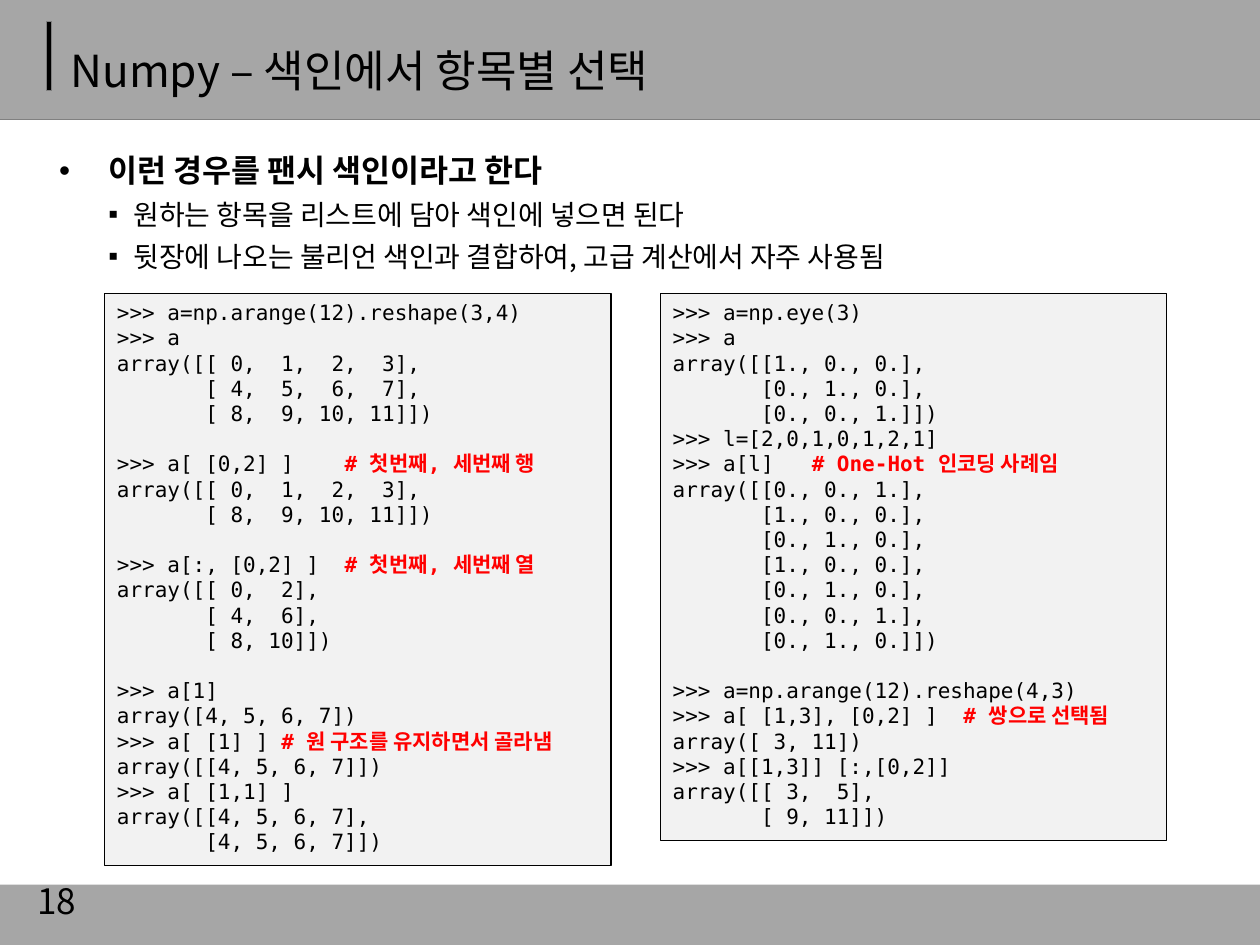
from dataclasses import dataclass
from lxml import etree
from pptx import Presentation
from pptx import util as u
from pptx.dml.color import RGBColor
from pptx.enum import shapes, text
from pptx.oxml.ns import qn

COLUMNS, ROWS = 100, 75  # slide grid


@dataclass(frozen=True)
class Theme:
    ink: str = "000000"
    band: str = "A6A6A6"
    rule: str = "808080"
    panel: str = "F2F2F2"
    remark: str = "FF0000"
    sans: str = "Noto Sans CJK KR"
    mono: str = "DejaVu Sans Mono"
    title: float = 25.2
    topic: float = 18
    detail: float = 16
    code: float = 12
    number: float = 20
    hairline: float = 0.75


@dataclass(frozen=True)
class Box:
    """A region in grid columns and rows."""
    left: float
    top: float
    width: float
    height: float

    def inside(self, left, top, width, height):
        return Box(self.left + left, self.top + top, width, height)

    def emu(self):
        return [u.Inches(cells / 10) for cells in
                (self.left, self.top, self.width, self.height)]


THEME = Theme()

TOPIC = "이런 경우를 팬시 색인이라고 한다"
DETAILS = ["원하는 항목을 리스트에 담아 색인에 넣으면 된다",
           "뒷장에 나오는 불리언 색인과 결합하여, 고급 계산에서 자주 사용됨"]

SELECTION_CODE = """\
>>> a=np.arange(12).reshape(3,4)
>>> a
array([[ 0,  1,  2,  3],
       [ 4,  5,  6,  7],
       [ 8,  9, 10, 11]])

>>> a[ [0,2] ]    # 첫번째, 세번째 행
array([[ 0,  1,  2,  3],
       [ 8,  9, 10, 11]])

>>> a[:, [0,2] ]  # 첫번째, 세번째 열
array([[ 0,  2],
       [ 4,  6],
       [ 8, 10]])

>>> a[1]
array([4, 5, 6, 7])
>>> a[ [1] ] # 원 구조를 유지하면서 골라냄
array([[4, 5, 6, 7]])
>>> a[ [1,1] ]
array([[4, 5, 6, 7],
       [4, 5, 6, 7]])"""

ONE_HOT_CODE = """\
>>> a=np.eye(3)
>>> a
array([[1., 0., 0.],
       [0., 1., 0.],
       [0., 0., 1.]])
>>> l=[2,0,1,0,1,2,1]
>>> a[l]   # One-Hot 인코딩 사례임
array([[0., 0., 1.],
       [1., 0., 0.],
       [0., 1., 0.],
       [1., 0., 0.],
       [0., 1., 0.],
       [0., 0., 1.],
       [0., 1., 0.]])

>>> a=np.arange(12).reshape(4,3)
>>> a[ [1,3], [0,2] ]  # 쌍으로 선택됨
array([ 3, 11])
>>> a[[1,3]] [:,[0,2]]
array([[ 3,  5],
       [ 9, 11]])"""


def style(run, size, face=THEME.sans, color=THEME.ink, bold=False):
    run.font.size, run.font.name, run.font.bold = u.Pt(size), face, bold
    run.font.color.rgb = RGBColor.from_string(color)
    etree.SubElement(run.font._element, qn("a:ea"), typeface=THEME.sans)


def place(shape, box):
    shape.left, shape.top, shape.width, shape.height = box.emu()


def rectangle(slide, box, fill, line=None):
    shape = slide.shapes.add_shape(shapes.MSO_SHAPE.RECTANGLE, *box.emu())
    shape.shadow.inherit = False
    shape.fill.solid()
    shape.fill.fore_color.rgb = RGBColor.from_string(fill)
    if line:
        shape.line.color.rgb = RGBColor.from_string(line)
        shape.line.width = u.Pt(THEME.hairline)
    else:
        shape.line.fill.background()
    return shape


def header(slide, box, wording):
    rectangle(slide, box, THEME.band)
    left, top, width, height = box.emu()
    rule = slide.shapes.add_connector(shapes.MSO_CONNECTOR.STRAIGHT, left,
                                      top + height, left + width, top + height)
    rule.line.color.rgb = RGBColor.from_string(THEME.rule)
    rule.line.width = u.Pt(THEME.hairline)
    etree.SubElement(rule._element.spPr, qn("a:effectLst"))
    rectangle(slide, box.inside(3.7, 1.8, 0.4, 5.5), THEME.ink, THEME.rule)

    title = slide.shapes.title
    slide.shapes._spTree.append(title._element)  # in front of the band
    place(title, box.inside(4.6, 1.5, 86.2, 6.2))
    frame = title.text_frame
    frame.text = wording
    frame.auto_size = text.MSO_AUTO_SIZE.NONE
    frame.vertical_anchor = text.MSO_ANCHOR.MIDDLE
    heading = frame.paragraphs[0]
    heading.alignment = text.PP_ALIGN.LEFT
    heading.line_spacing = 1.5
    style(heading.runs[0], THEME.title)


def bullet(paragraph, mark, margin, hang):
    """Set the mark, hanging indent and proportional space before."""
    props = paragraph._p.get_or_add_pPr()
    props.set("marL", str(u.Inches(margin)))
    props.set("indent", str(-u.Inches(hang)))
    before = etree.SubElement(props, qn("a:spcBef"))
    etree.SubElement(before, qn("a:spcPct"), val="30000")
    etree.SubElement(props, qn("a:buFont"), typeface="Arial")
    etree.SubElement(props, qn("a:buChar"), char=mark)


def bullet_list(slide, box, topic, details):
    body = slide.placeholders[1]
    place(body, box)
    frame = body.text_frame
    frame.text = "\n".join([topic, *details])
    frame.auto_size = text.MSO_AUTO_SIZE.NONE
    first, *others = frame.paragraphs
    bullet(first, "•", 0.39, 0.39)
    style(first.runs[0], THEME.topic, bold=True)
    for detail in others:
        detail.level = 1
        bullet(detail, "▪", 0.59, 0.2)
        style(detail.runs[0], THEME.detail)


def code_panel(slide, box, listing):
    """Show a console session, with its # remarks picked out."""
    frame = rectangle(slide, box, THEME.panel, THEME.ink).text_frame
    frame.word_wrap = True
    frame.vertical_anchor = text.MSO_ANCHOR.TOP
    for index, line in enumerate(listing.split("\n")):
        row = frame.add_paragraph() if index else frame.paragraphs[0]
        row.alignment = text.PP_ALIGN.LEFT
        code, sign, remark = line.partition("#")
        for part, color in ((code, THEME.ink), (sign + remark, THEME.remark)):
            if part:
                run = row.add_run()
                run.text = part
                style(run, THEME.code, THEME.mono, color, color == THEME.remark)
        if not line:
            end = etree.SubElement(row._p, qn("a:endParaRPr"), sz=str(THEME.code * 100))
            etree.SubElement(end, qn("a:latin"), typeface=THEME.mono)


def footer(slide, box, number):
    rectangle(slide, box, THEME.band)
    label = slide.shapes.add_textbox(*box.inside(2, -0.7, 23.3, 4).emu())
    frame = label.text_frame
    frame.word_wrap = True
    frame.text = number
    frame.vertical_anchor = text.MSO_ANCHOR.MIDDLE
    style(frame.paragraphs[0].runs[0], THEME.number)


def main():
    deck = Presentation()
    deck.slide_width, deck.slide_height = u.Inches(COLUMNS / 10), u.Inches(ROWS / 10)
    slide = deck.slides.add_slide(deck.slide_layouts[1])
    header(slide, Box(0, -0.1, COLUMNS, 9.6), "Numpy – 색인에서 항목별 선택")
    bullet_list(slide, Box(3.7, 11.5, 92.8, 22.8), TOPIC, DETAILS)
    panels = ((SELECTION_CODE, 45.4), (ONE_HOT_CODE, 43.4))
    for column, (listing, height) in enumerate(panels):
        code_panel(slide, Box(8.3 + column * 44.1, 23.3, 40.2, height), listing)
    footer(slide, Box(0, ROWS - 4.8, COLUMNS, 4.8), "18")
    deck.save("out.pptx")


if __name__ == "__main__":
    main()
